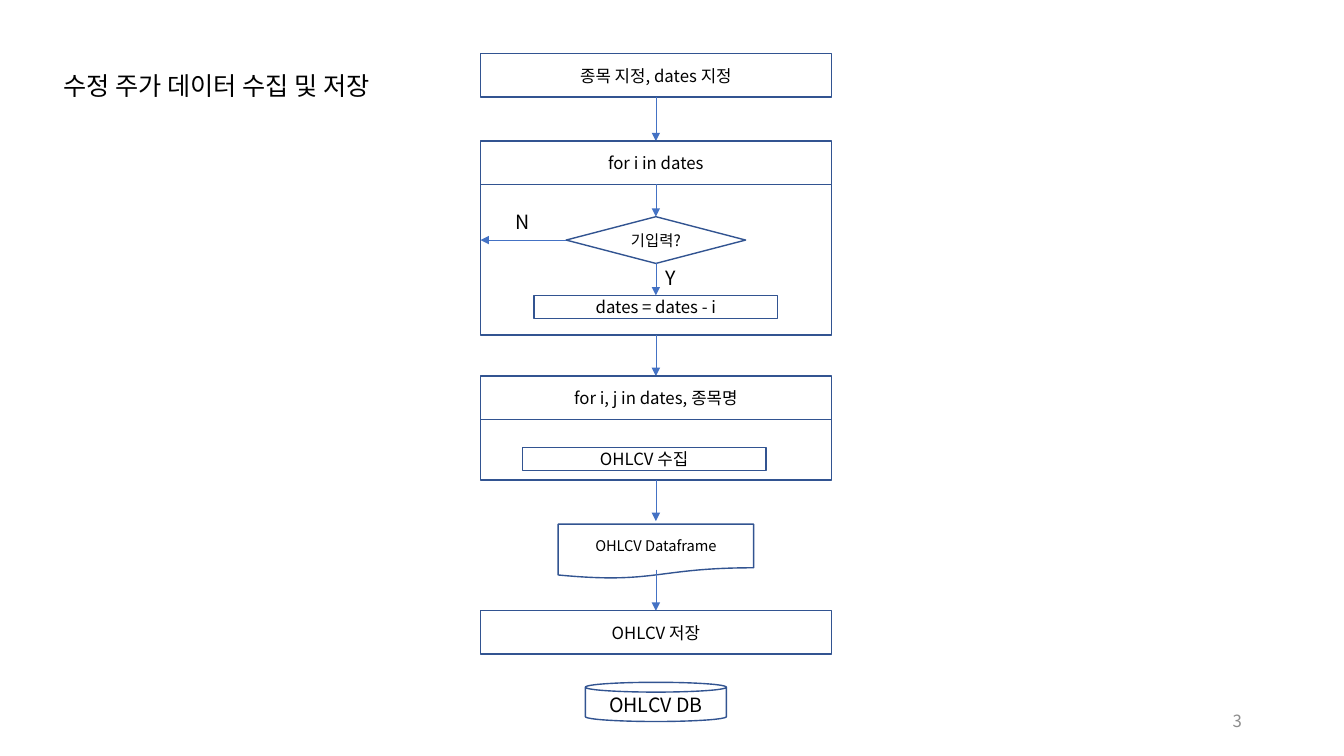
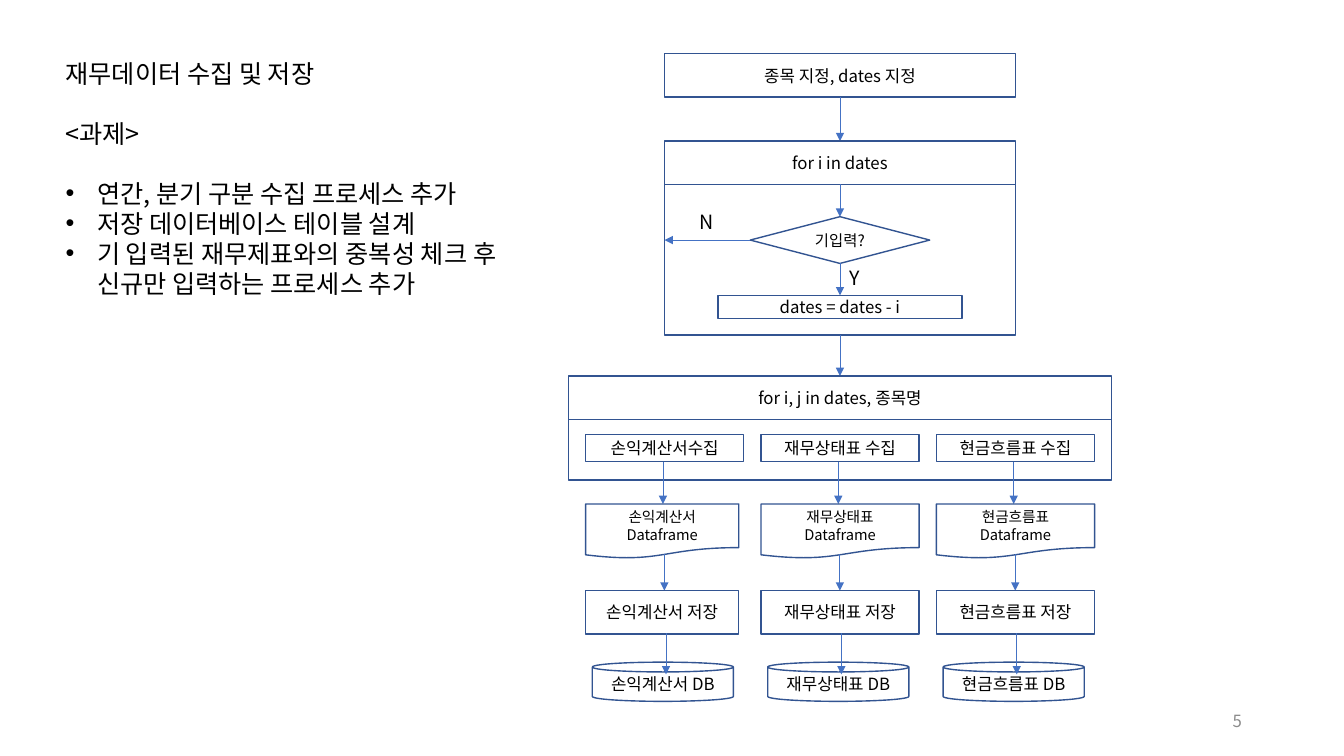
from lxml.etree import SubElement
from pptx import Presentation
from pptx.dml.color import RGBColor
from pptx.enum.shapes import MSO_CONNECTOR, MSO_SHAPE as SHAPE
from pptx.enum.text import MSO_ANCHOR as ANCHOR, MSO_AUTO_SIZE, PP_ALIGN as ALIGN
from pptx.oxml import parse_xml
from pptx.oxml.ns import nsdecls, qn
from pptx.util import Pt


def color(hex_code):
    """Turn a hex string into a colour."""
    return RGBColor.from_string(hex_code)


class FlowDeck:
    """Shared style of the flow charts and the slide being drawn."""

    FONT = "Noto Sans CJK KR"
    INK, OUTLINE, ARROW, MUTED = "000000", "325491", "4472C4", "8C8C8C"
    LINE_RATIO = 1.19
    HEADING = 18
    TITLE_ONLY, TITLE_AND_BODY = 5, 1

    def __init__(self):
        """Open a widescreen presentation."""
        self.deck = Presentation()
        self.deck.slide_width, self.deck.slide_height = Pt(960), Pt(540)
        self.slide = None

    def new_slide(self, layout, number):
        """Start a slide and add its page number."""
        self.slide = self.deck.slides.add_slide(self.deck.slide_layouts[layout])
        self.label(number, 678.2, 500.4, 216, 28.8, 12, self.MUTED, ALIGN.RIGHT)

    def style(self, paragraph, size, ink=INK, align=ALIGN.LEFT):
        """Format one paragraph."""
        paragraph.alignment = align
        paragraph.line_spacing = Pt(round(size * self.LINE_RATIO, 1))
        paragraph.space_before = paragraph.space_after = Pt(0)
        font = paragraph.font
        font.size, font.name = Pt(size), self.FONT
        font.color.rgb = color(ink)
        defaults = paragraph._p.pPr.find(qn("a:defRPr"))
        SubElement(defaults, qn("a:ea"), typeface=self.FONT)

    def fill_text(self, shape, text, size, ink=INK, align=ALIGN.CENTER, wrap=True):
        """Put one vertically centred paragraph in a shape."""
        frame = shape.text_frame
        frame.word_wrap = wrap
        frame.auto_size = MSO_AUTO_SIZE.NONE
        frame.vertical_anchor = ANCHOR.MIDDLE
        frame.text = text
        self.style(frame.paragraphs[0], size, ink, align)

    def place(self, shape, left, top, width, height):
        """Move and size a placeholder."""
        shape.left, shape.top = Pt(left), Pt(top)
        shape.width, shape.height = Pt(width), Pt(height)

    def title(self, text, left, top, width):
        """Fill the title placeholder."""
        heading = self.slide.shapes.title
        self.place(heading, left, top, width, 28.8)
        self.fill_text(heading, text, self.HEADING, align=ALIGN.LEFT)

    def task_list(self, heading, tasks, left, top, width, height):
        """Fill the body placeholder with a heading and bulleted tasks."""
        body = self.slide.placeholders[1]
        self.place(body, left, top, width, height)
        frame = body.text_frame
        frame.auto_size = MSO_AUTO_SIZE.NONE
        frame.vertical_anchor = ANCHOR.TOP
        frame.text = "\n".join([heading, *tasks])
        for index, paragraph in enumerate(frame.paragraphs):
            self.style(paragraph, self.HEADING)
            self.bullet(paragraph, "•" if index else None)
        frame.paragraphs[0].space_after = Pt(21.4)

    def bullet(self, paragraph, mark):
        """Give a paragraph a hanging bullet, or none."""
        properties = paragraph._p.pPr
        indent = Pt(22.5) if mark else 0
        properties.set("marL", str(indent))
        properties.set("indent", str(-indent))
        defaults = properties.find(qn("a:defRPr"))
        if mark:
            for tag in (f'<a:buFont {nsdecls("a")} typeface="Arial"/>',
                        f'<a:buChar {nsdecls("a")} char="{mark}"/>'):
                defaults.addprevious(parse_xml(tag))
        else:
            defaults.addprevious(parse_xml(f'<a:buNone {nsdecls("a")}/>'))

    def label(self, text, left, top, width, height, size, ink=INK, align=ALIGN.LEFT):
        """Add free text on one line."""
        box = self.slide.shapes.add_textbox(Pt(left), Pt(top), Pt(width), Pt(height))
        self.fill_text(box, text, size, ink, align, wrap=align == ALIGN.RIGHT)

    def node(self, text, left, top, width, height, size=12, kind=SHAPE.RECTANGLE):
        """Add an outlined flow chart shape."""
        shape = self.slide.shapes.add_shape(kind, Pt(left), Pt(top), Pt(width), Pt(height))
        shape.shadow.inherit = False
        shape.fill.background()
        shape.line.color.rgb = color(self.OUTLINE)
        shape.line.width = Pt(1)
        if text:
            self.fill_text(shape, text, size)

    def arrow(self, x1, y1, x2, y2):
        """Add a thin arrow."""
        link = self.slide.shapes.add_connector(
            MSO_CONNECTOR.STRAIGHT, Pt(x1), Pt(y1), Pt(x2), Pt(y2))
        link.line.color.rgb = color(self.ARROW)
        link.line.width = Pt(0.5)
        outline = link._element.spPr
        SubElement(outline.find(qn("a:ln")), qn("a:tailEnd"), type="triangle")
        SubElement(outline, qn("a:effectLst"))

    def down(self, x, top, bottom):
        """Add a downward arrow."""
        self.arrow(x, top, x, bottom)

    def loop(self, text, center, top, width, body_height):
        """Add a loop header with its empty body."""
        left = center - width / 2
        self.node(text, left, top, width, 31)
        self.node("", left, top + 31, width, body_height)

    def date_check(self, center, collect_width):
        """Draw the date filter and the frame of the collecting loop."""
        left = center - STEP_WIDTH / 2
        self.node("종목 지정, dates 지정", left, 38.4, STEP_WIDTH, 31)
        self.down(center, 69.6, 100.8)
        self.loop("for i in dates", center, 100.8, STEP_WIDTH, 107.4)
        self.down(center, 131.8, 154.8)
        self.node("기입력?", center - 64.1, 154.8, 128.2, 33.4, 11, SHAPE.DIAMOND)
        self.arrow(center - 64.1, 171.5, left, 171.5)
        self.label("N", left + 18, 146.2, 25, 24.5, 14)
        self.down(center, 188.2, 211)
        self.label("Y", center, 186.5, 22.3, 24.5, 14)
        self.node("dates = dates - i", center - 87.1, 211, 174.2, 16.6)
        self.down(center, 239.2, 268.6)
        self.loop("for i, j in dates, 종목명", center, 268.6, collect_width, 43.2)


STEP_WIDTH = 250.6
flow = FlowDeck()

# Price data
price_center = 468.5
flow.new_slide(flow.TITLE_ONLY, "3")
flow.title("수정 주가 데이터 수집 및 저장", 38.2, 46.8, 265)
flow.date_check(price_center, STEP_WIDTH)
flow.node("OHLCV 수집", 373, 319.7, 174.2, 16.6)
flow.down(price_center, 342.8, 372.2)
flow.node("OHLCV Dataframe", price_center - 69.8, 374.4, 139.6, 38.9, 10.5,
          SHAPE.FLOWCHART_DOCUMENT)
flow.down(price_center, 406.8, 436.3)
flow.node("OHLCV 저장", price_center - STEP_WIDTH / 2, 436.3, STEP_WIDTH, 31)
flow.node("OHLCV DB", price_center - 50.4, 487.4, 100.8, 28, 14, SHAPE.CAN)

# Financial statements
STATEMENT_LEFT, STATEMENT_PITCH, STATEMENT_WIDTH = 418.3, 125.3, 113
flow.new_slide(flow.TITLE_AND_BODY, "5")
flow.title("재무데이터 수집 및 저장", 39.6, 38.2, 324.7)
flow.task_list("<과제>", [
    "연간, 분기 구분 수집 프로세스 추가",
    "저장 데이터베이스 테이블 설계",
    "기 입력된 재무제표와의 중복성 체크 후 신규만 입력하는 프로세스 추가",
], 39.6, 81, 324.7, 161)
flow.date_check(600, 388)
statements = [
    # name, collecting step, table, width of the later steps
    ("손익계산서", "손익계산서수집", "손익계산서 Dataframe", 109.4),
    ("재무상태표", "재무상태표 수집", "재무상태표Dataframe", STATEMENT_WIDTH),
    ("현금흐름표", "현금흐름표 수집", "현금흐름표 Dataframe", STATEMENT_WIDTH),
]
for column, (name, collecting, table, width) in enumerate(statements):
    left = STATEMENT_LEFT + column * STATEMENT_PITCH
    flow.node(collecting, left, 310.3, STATEMENT_WIDTH, 19.4)
    flow.down(left + 55.2, 329.8, 360)
    flow.node(table, left, 360, width, 38.9, 10.5, SHAPE.FLOWCHART_DOCUMENT)
    flow.down(left + 56.3, 396, 421.9)
    flow.node(f"{name} 저장", left, 421.9, width, 31)
    flow.node(f"{name} DB", left + 4.8, 473, 100.8, 28, 12, SHAPE.CAN)
    flow.down(left + 57.4, 452.2, 481.7)

flow.deck.save("out.pptx")
